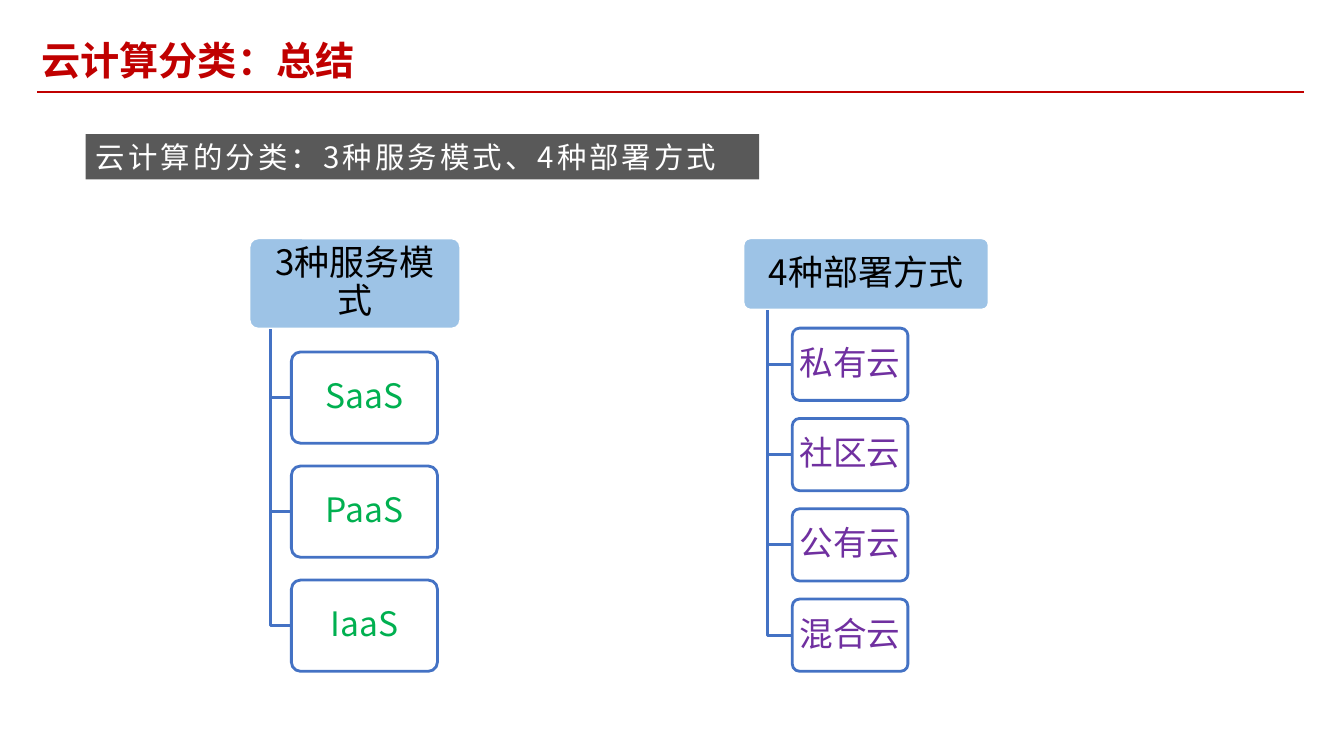
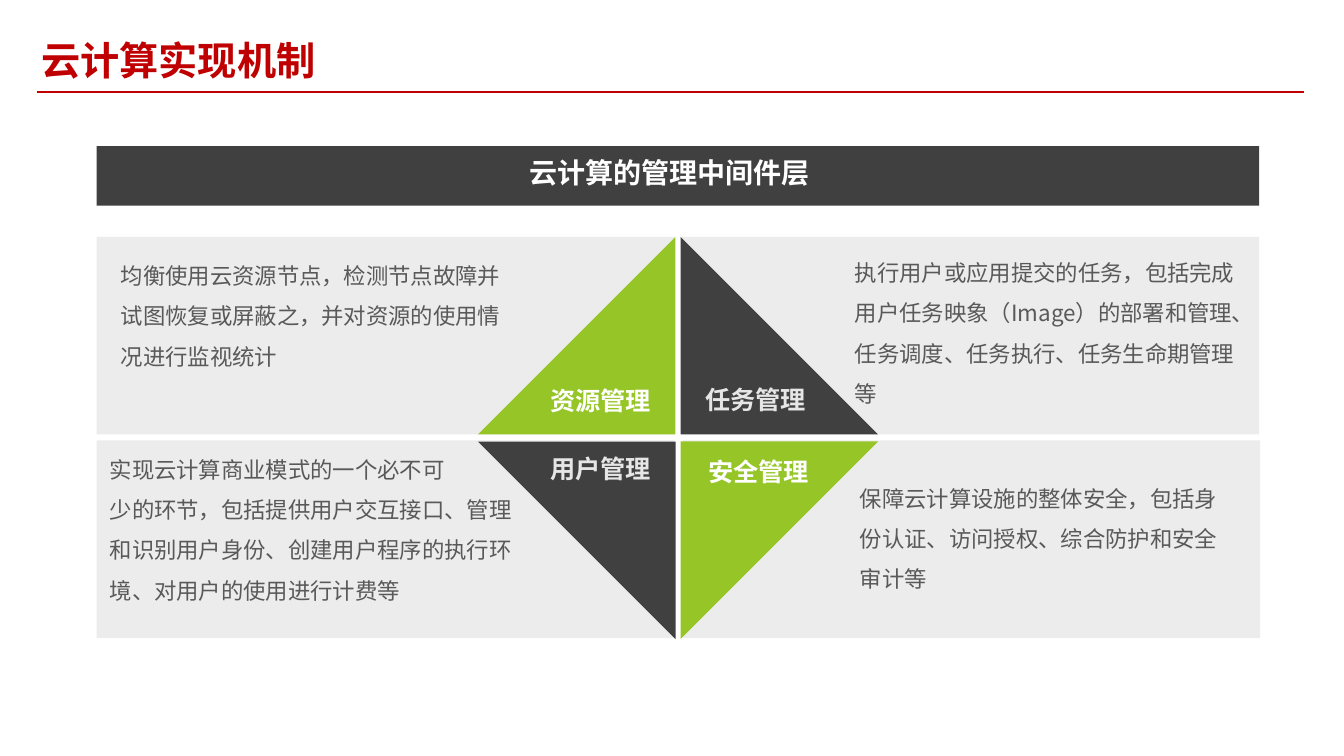
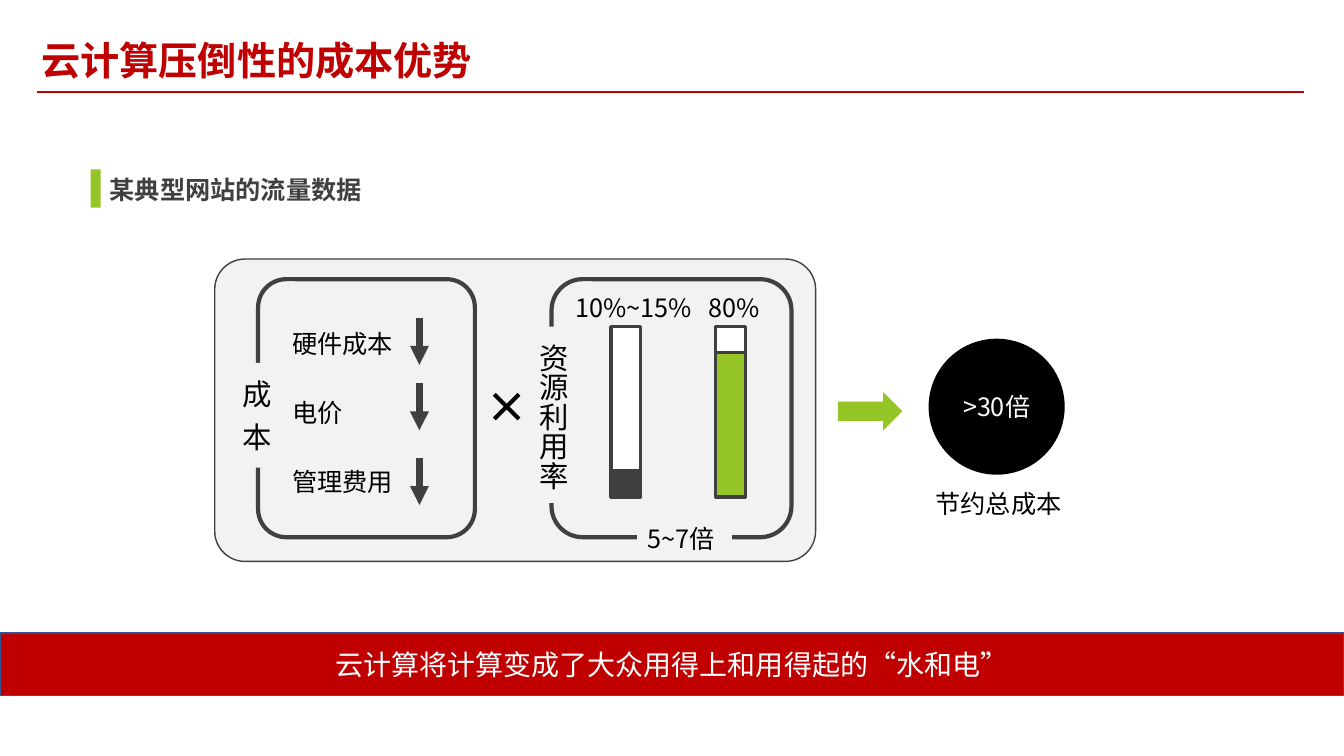
"""Build three slides on cloud computing: classification, mechanism and cost advantage."""
import pptx
import pptx.dml.color
import pptx.enum.shapes
import pptx.enum.text
import pptx.oxml.ns
import pptx.util
from lxml import etree

Inches = pptx.util.Inches
Pt = pptx.util.Pt
RGB = pptx.dml.color.RGBColor
SHAPE = pptx.enum.shapes.MSO_SHAPE
ALIGN = pptx.enum.text.PP_ALIGN
ANCHOR = pptx.enum.text.MSO_ANCHOR
qn = pptx.oxml.ns.qn

FONT = "Noto Sans CJK SC"
RED = RGB(0xC0, 0x00, 0x00)
LIME = RGB(0x96, 0xC5, 0x27)
DARK = RGB(0x40, 0x40, 0x40)
GRAY = RGB(0x59, 0x59, 0x59)
PANEL = RGB(0xEC, 0xEC, 0xEC)
PALE = RGB(0xF2, 0xF2, 0xF2)
SILVER = RGB(0xE7, 0xE6, 0xE6)
WHITE = RGB(0xFF, 0xFF, 0xFF)
BLACK = RGB(0x00, 0x00, 0x00)
BLUE = RGB(0x44, 0x72, 0xC4)
SKY = RGB(0x9D, 0xC3, 0xE6)
NAVY = RGB(0x32, 0x54, 0x91)
GREEN = RGB(0x00, 0xB0, 0x50)
PURPLE = RGB(0x70, 0x30, 0xA0)

TITLE_AT = (0.31, 0.31, 9.96, 0.57)
TREE_TOP, TREE_HEIGHT = 2.36, 4.3
TREES = [
    (2.47, 2.1, "3种服务模式", GREEN, ["SaaS", "PaaS", "IaaS"]),
    (7.37, 2.44, "4种部署方式", PURPLE, ["私有云", "社区云", "公有云", "混合云"]),
]

PANEL_W, PANEL_H, TRIANGLE = 5.73, 1.96, 1.96
QUADRANTS = [
    {"panel": (0.96, 2.35), "triangle": (4.74, 2.35), "turn": 270, "fill": LIME,
     "name": "资源管理", "name_at": (5.35, 3.77), "color": WHITE,
     "text": "均衡使用云资源节点，检测节点故障并试图恢复或屏蔽之，并对资源的使用情况进行监视统计",
     "text_at": (1.1, 2.42, 4.14, 1.27)},
    {"panel": (6.76, 2.35), "triangle": (6.75, 2.35), "turn": 0, "fill": DARK,
     "name": "任务管理", "name_at": (6.89, 3.76), "color": SILVER,
     "text": "执行用户或应用提交的任务，包括完成用户任务映象（Image）的部署和管理、"
             "任务调度、任务执行、任务生命期管理等",
     "text_at": (8.38, 2.39, 4.18, 1.67)},
    {"panel": (0.96, 4.37), "triangle": (4.74, 4.38), "turn": 180, "fill": DARK,
     "name": "用户管理", "name_at": (5.35, 4.45), "color": SILVER,
     "text": "实现云计算商业模式的一个必不可\n少的环节，包括提供用户交互接口、管理和"
             "识别用户身份、创建用户程序的执行环境、对用户的使用进行计费等",
     "text_at": (0.99, 4.34, 4.33, 1.67)},
    {"panel": (6.77, 4.37), "triangle": (6.75, 4.38), "turn": 90, "fill": LIME,
     "name": "安全管理", "name_at": (6.92, 4.48), "color": WHITE,
     "text": "保障云计算设施的整体安全，包括身份认证、访问授权、综合防护和安全审计等",
     "text_at": (8.43, 4.63, 3.79, 1.27)},
]

FRAMES = [
    ((2.56, 2.77, 2.15, 2.56), (2.25, 3.6, 0.56, 1.04), "成本", 9.5),
    ((5.47, 2.77, 2.38, 2.56), (5.19, 3.24, 0.56, 1.75), "资源利用率", 0),
]
COSTS = [("硬件成本", 3.21, 3.15), ("电价", 3.89, 3.8), ("管理费用", 4.58, 4.54)]
GAUGE_TOP, GAUGE_W, GAUGE_H = 3.24, 0.29, 1.69
GAUGES = [
    (6.06, 0.26, DARK, "10%~15%", (5.61, 2.85, 1.43, 0.4)),
    (7.1, 1.43, LIME, "80%", (6.93, 2.85, 0.72, 0.4)),
]


def write(sp, text, size, color, bold=False, align=ALIGN.LEFT, anchor=ANCHOR.TOP,
          leading=None, inset=None, tracking=0):
    """Put formatted text into a shape."""
    tf = sp.text_frame
    tf.text = text
    tf.word_wrap = True
    tf.auto_size = pptx.enum.text.MSO_AUTO_SIZE.NONE
    tf.vertical_anchor = anchor
    if inset is not None:
        tf.margin_left = tf.margin_right = tf.margin_top = tf.margin_bottom = Inches(inset)
    for p in tf.paragraphs:
        p.alignment = align
        if leading:
            p.line_spacing = leading
        for r in p.runs:
            r.font.size = Pt(size)
            r.font.bold = bold
            r.font.color.rgb = color
            r.font.name = FONT
            rpr = r._r.get_or_add_rPr()
            etree.SubElement(rpr, qn("a:ea")).set("typeface", FONT)
            if tracking:
                rpr.set("spc", str(int(tracking * 100)))


def shape(s, kind, at, fill=None, line=None, weight=1, adjust=None):
    """Add a preset shape without shadow."""
    sp = s.shapes.add_shape(kind, *map(Inches, at))
    sp.shadow.inherit = False
    if fill is None:
        sp.fill.background()
    else:
        sp.fill.solid()
        sp.fill.fore_color.rgb = fill
    if line is None:
        sp.line.fill.background()
    else:
        sp.line.color.rgb = line
        sp.line.width = Pt(weight)
    if adjust is not None:
        sp.adjustments[0] = adjust
    return sp


def label(s, at, text, size, color, **style):
    """Add a text box."""
    write(s.shapes.add_textbox(*map(Inches, at)), text, size, color, **style)


def connector(s, start, end, color, weight, arrow=False):
    """Add a straight line or arrow."""
    c = s.shapes.add_connector(pptx.enum.shapes.MSO_CONNECTOR.STRAIGHT,
                               *map(Inches, start + end))
    c.line.color.rgb = color
    c.line.width = Pt(weight)
    sppr = c.element.spPr
    if arrow:
        etree.SubElement(sppr.find(qn("a:ln")), qn("a:tailEnd")).set("type", "triangle")
    etree.SubElement(sppr, qn("a:effectLst"))


def elbow(s, x, y, end_x, end_y):
    """Add an open outline going down and then right."""
    builder = s.shapes.build_freeform(Inches(x), Inches(y))
    corner, end = (Inches(x), Inches(end_y)), (Inches(end_x), Inches(end_y))
    builder.add_line_segments([corner, end], close=False)
    sp = builder.convert_to_shape()
    sp.shadow.inherit = False
    sp.fill.background()
    sp.line.color.rgb = BLUE
    sp.line.width = Pt(2)


def titled_slide(prs, title):
    """Add a slide with the shared title and red rule."""
    s = prs.slides.add_slide(prs.slide_layouts[5])
    sp = s.shapes.title
    sp.left, sp.top, sp.width, sp.height = map(Inches, TITLE_AT)
    sp.fill.solid()
    sp.fill.fore_color.rgb = WHITE
    write(sp, title, 28, RED, bold=True)
    connector(s, (0.37, 0.91), (12.93, 0.91), RED, 1.5)
    return s


def tree(s, left, width, heading, color, items):
    """Draw a heading with its items hanging from elbow lines."""
    height = TREE_HEIGHT / (1 + 1.25 * len(items))
    item_left = left + 0.2 * width
    style = {"align": ALIGN.CENTER, "anchor": ANCHOR.MIDDLE, "leading": 0.9}
    sp = shape(s, SHAPE.ROUNDED_RECTANGLE, (left, TREE_TOP, width, height),
               SKY, WHITE, 2, 0.1)
    write(sp, heading, 25, BLACK, inset=0.07, **style)
    for i, item in enumerate(items, 1):
        top = TREE_TOP + 1.25 * height * i
        elbow(s, left + 0.1 * width, TREE_TOP + height, item_left, top + height / 2)
        sp = shape(s, SHAPE.ROUNDED_RECTANGLE, (item_left, top, 1.6 * height, height),
                   WHITE, BLUE, 2, 0.1)
        write(sp, item, 24, color, inset=0.03, **style)


def classification(prs):
    """Service models and deployment modes."""
    s = titled_slide(prs, "云计算分类：总结")
    sp = shape(s, SHAPE.RECTANGLE, (0.85, 1.33, 6.68, 0.45), GRAY)
    write(sp, "云计算的分类：3种服务模式、4种部署方式", 21, WHITE, tracking=2.2)
    for branch in TREES:
        tree(s, *branch)


def mechanism(prs):
    """Four management functions around a diamond."""
    s = titled_slide(prs, "云计算实现机制")
    shape(s, SHAPE.RECTANGLE, (0.96, 1.45, 11.53, 0.59), DARK)
    label(s, (3.39, 1.49, 6.5, 0.44), "云计算的管理中间件层", 20, WHITE,
          bold=True, align=ALIGN.CENTER)
    for q in QUADRANTS:
        shape(s, SHAPE.RECTANGLE, q["panel"] + (PANEL_W, PANEL_H), PANEL)
    for q in QUADRANTS:
        sp = shape(s, SHAPE.RIGHT_TRIANGLE, q["triangle"] + (TRIANGLE, TRIANGLE), q["fill"])
        sp.rotation = q["turn"]
        label(s, q["name_at"] + (1.21, 0.4), q["name"], 18, q["color"],
              bold=True, align=ALIGN.CENTER)
        label(s, q["text_at"], q["text"], 16, GRAY, leading=1.5)


def cost_advantage(prs):
    """Lower cost times higher utilisation."""
    s = titled_slide(prs, "云计算压倒性的成本优势")
    label(s, (0.99, 1.68, 2.73, 0.4), "某典型网站的流量数据", 18, DARK, bold=True)
    shape(s, SHAPE.RECTANGLE, (0.9, 1.68, 0.1, 0.38), LIME)
    shape(s, SHAPE.ROUNDED_RECTANGLE, (2.13, 2.57, 5.96, 3), PALE, DARK, 1, 0.1)

    for frame_at, name_at, name, tracking in FRAMES:
        shape(s, SHAPE.ROUNDED_RECTANGLE, frame_at, None, DARK, 3, 0.13)
        sp = shape(s, SHAPE.RECTANGLE, name_at, PALE)
        write(sp, name, 21, BLACK, tracking=tracking)
        tf = sp.text_frame
        tf.margin_top, tf.margin_bottom, tf.margin_right = Inches(0.17), 0, Inches(0.09)
        tf._txBody.bodyPr.set("vert", "eaVert")

    for name, name_top, arrow_top in COSTS:
        label(s, (2.8, name_top, 1.21, 0.4), name, 18, BLACK)
        connector(s, (4.16, arrow_top), (4.16, arrow_top + 0.47), DARK, 4.5, arrow=True)
    shape(s, SHAPE.MATH_MULTIPLY, (4.79, 3.8, 0.47, 0.47), BLACK, adjust=0.085)

    for left, level, fill, value, value_at in GAUGES:
        shape(s, SHAPE.RECTANGLE, (left, GAUGE_TOP, GAUGE_W, GAUGE_H), WHITE, DARK, 2.25)
        level_top = GAUGE_TOP + GAUGE_H - level
        shape(s, SHAPE.RECTANGLE, (left, level_top, GAUGE_W, level), fill, DARK, 2.25)
        label(s, value_at, value, 18, BLACK)
    sp = shape(s, SHAPE.RECTANGLE, (6.32, 5.14, 0.94, 0.4), PALE)
    write(sp, "5~7倍", 18, BLACK)

    shape(s, SHAPE.RIGHT_ARROW, (8.31, 3.89, 0.64, 0.38), LIME)
    sp = shape(s, SHAPE.OVAL, (9.21, 3.36, 1.35, 1.35), BLACK)
    write(sp, ">30倍", 18, WHITE, align=ALIGN.CENTER, anchor=ANCHOR.MIDDLE)
    label(s, (9.18, 4.8, 1.46, 0.4), "节约总成本", 18, BLACK)
    sp = shape(s, SHAPE.RECTANGLE, (0, 6.28, 13.33, 0.62), RED, NAVY, 1)
    write(sp, "云计算将计算变成了大众用得上和用得起的“水和电”", 20, WHITE,
          align=ALIGN.CENTER, anchor=ANCHOR.MIDDLE)


def main():
    """Build and save the presentation."""
    prs = pptx.Presentation()
    prs.slide_width, prs.slide_height = Inches(13.33), Inches(7.5)
    classification(prs)
    mechanism(prs)
    cost_advantage(prs)
    prs.save("out.pptx")


if __name__ == "__main__":
    main()
